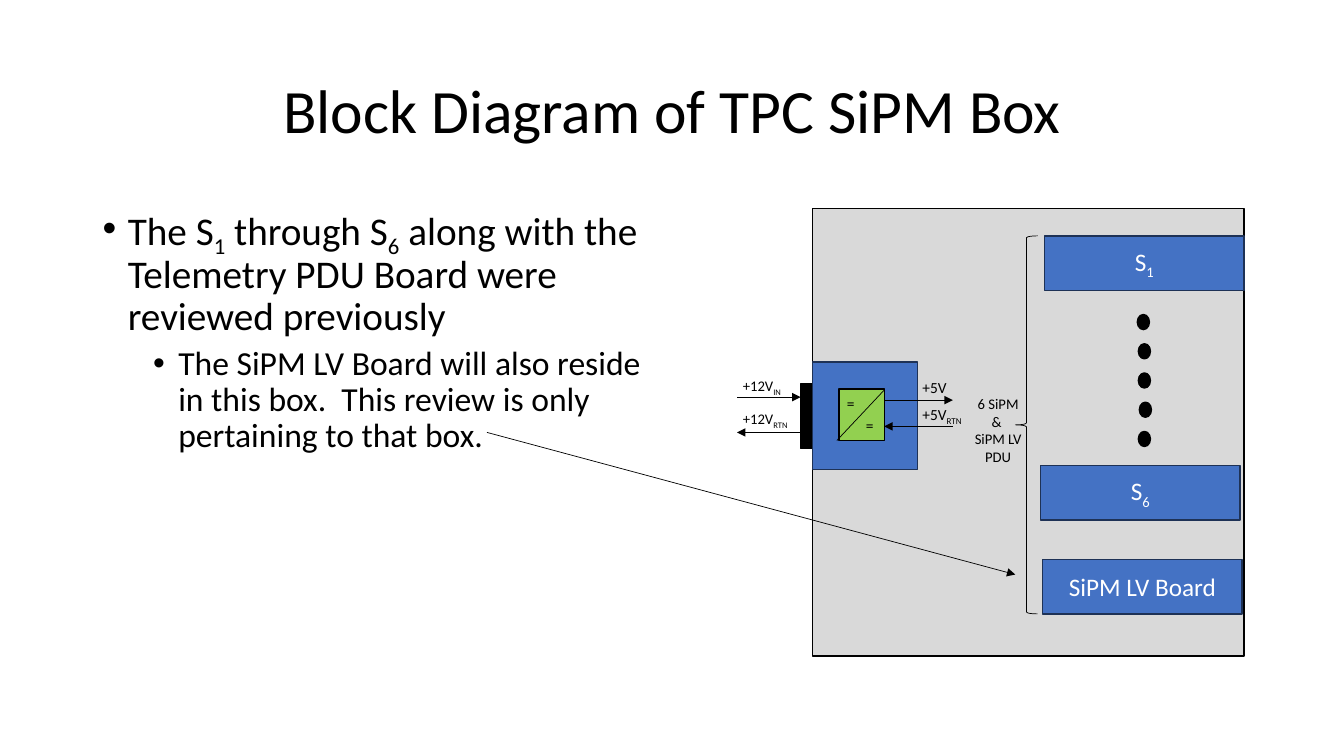
import pptx
import pptx.util
import pptx.dml.color
import pptx.enum.shapes
import pptx.enum.text
import pptx.oxml.ns
import lxml.etree

PX = 9144  # EMU per px, 100 px to the inch
SHAPE = pptx.enum.shapes.MSO_SHAPE
ALIGN = pptx.enum.text.PP_ALIGN
ANCHOR = pptx.enum.text.MSO_ANCHOR
THEME = {
    "font": "Calibri",
    "black": "000000", "white": "FFFFFF", "box": "D9D9D9",
    "board": "4472C4", "board_edge": "1E3256", "converter": "92D050",
    "title": 44, "point": 28, "subpoint": 24, "board_name": 18,
    "signal": 11, "small": 10.5, "edge": 1, "wire": 0.5,
}


def color(name):
    return pptx.dml.color.RGBColor.from_string(THEME[name])


def write(paragraph, text, size, ink="black", **layout):
    """Fill a paragraph; _x_ marks a subscript and a newline a line break."""
    for name, value in layout.items():
        setattr(paragraph, name, value)
    for row, line in enumerate(text.split("\n")):
        if row:
            paragraph.add_line_break()
        for index, piece in enumerate(line.split("_")):
            if not piece:
                continue
            run = paragraph.add_run()
            run.text = piece
            font_format = {"name": THEME["font"], "size": pptx.util.Pt(THEME[size])}
            for name, value in font_format.items():
                setattr(run.font, name, value)
            run.font.color.rgb = color(ink)
            if index % 2:
                run._r.get_or_add_rPr().set("baseline", "-25000")


deck = pptx.Presentation()
deck.slide_width, deck.slide_height = 1333 * PX, 750 * PX
slide = deck.slides.add_slide(deck.slide_layouts[6])

# Title
title = slide.shapes.add_textbox(92 * PX, 40 * PX, 1150 * PX, 145 * PX).text_frame
title.word_wrap = True
title.vertical_anchor = ANCHOR.MIDDLE
write(title.paragraphs[0], "Block Diagram of TPC SiPM Box", "title",
      alignment=ALIGN.CENTER, line_spacing=0.9)

# Bullets
review = slide.shapes.add_textbox(92 * PX, 200 * PX, 567 * PX, 476 * PX).text_frame
review.word_wrap = True
points = [
    ("The S_1_ through S_6_ along with the Telemetry PDU Board were reviewed previously",
     "point", 0, 25, 10),
    ("The SiPM LV Board will also reside in this box.  This review is only "
     "pertaining to that box.", "subpoint", 1, 75, 5),
]
for text, size, level, indent, space in points:
    point = review.add_paragraph() if level else review.paragraphs[0]
    write(point, text, size, level=level, line_spacing=0.9,
          space_before=pptx.util.Pt(space))
    properties = point._p.get_or_add_pPr()
    properties.set("marL", str(indent * PX))
    properties.set("indent", str(-25 * PX))
    for tag, name, value in [("a:buFont", "typeface", "Arial"), ("a:buChar", "char", "•")]:
        lxml.etree.SubElement(properties, pptx.oxml.ns.qn(tag)).set(name, value)

# Box, boards, dots, connector block, converter and brace
blocks = [
    (SHAPE.RECTANGLE, 806, 207, 428, 444, "box", "black", "edge", ""),
    (SHAPE.RECTANGLE, 1036, 234, 198, 54, "board", "board_edge", "edge", "S_1_"),
    (SHAPE.RECTANGLE, 1032, 462, 198, 54, "board", "board_edge", "edge", "S_6_"),
    (SHAPE.RECTANGLE, 1034, 555, 198, 54, "board", "board_edge", "edge", "SiPM LV Board"),
    (SHAPE.RECTANGLE, 794, 381, 12, 64, "black", "black", "edge", ""),
    (SHAPE.RECTANGLE, 806, 359, 104, 107, "board", "board_edge", "edge", ""),
    (SHAPE.RECTANGLE, 832, 386, 45, 51, "converter", "black", "edge", ""),
    (SHAPE.LEFT_BRACE, 1007, 234, 22, 375, None, "black", "wire", ""),
]
blocks += [(SHAPE.OVAL, left, 312 + 29 * step, 12, 15, "black", "black", "edge", "")
           for step, left in enumerate([1128, 1129, 1129, 1130, 1129])]
for kind, left, top, width, height, fill, edge, weight, name in blocks:
    block = slide.shapes.add_shape(kind, left * PX, top * PX, width * PX, height * PX)
    block.shadow.inherit = False
    if fill:
        block.fill.solid()
        block.fill.fore_color.rgb = color(fill)
    else:
        block.fill.background()
    block.line.color.rgb = color(edge)
    block.line.width = pptx.util.Pt(THEME[weight])
    if name:
        block.text_frame.vertical_anchor = ANCHOR.MIDDLE
        write(block.text_frame.paragraphs[0], name, "board_name", "white",
              alignment=ALIGN.CENTER)

# Wires: start, end, and the end that bears the arrowhead
wires = [
    (731, 394, 794, 394, "tailEnd"),
    (731, 429, 794, 429, "headEnd"),
    (877, 387, 830, 437, None),
    (877, 397, 945, 397, "tailEnd"),
    (877, 423, 945, 423, "headEnd"),
    (483, 429, 1007, 570, "tailEnd"),
]
for x1, y1, x2, y2, arrow in wires:
    wire = slide.shapes.add_connector(pptx.enum.shapes.MSO_CONNECTOR.STRAIGHT,
                                      x1 * PX, y1 * PX, x2 * PX, y2 * PX)
    wire.line.color.rgb = color("black")
    wire.line.width = pptx.util.Pt(THEME["wire"])
    if arrow:
        head = lxml.etree.SubElement(wire.line._get_or_add_ln(),
                                     pptx.oxml.ns.qn("a:" + arrow))
        head.set("type", "triangle")
    lxml.etree.SubElement(wire._element.spPr, pptx.oxml.ns.qn("a:effectLst"))

# Signal labels
labels = [
    (727, 369, 62, 29, "small", ALIGN.LEFT, ["+12V_IN_"]),
    (727, 402, 67, 28, "small", ALIGN.LEFT, ["+12V_RTN_"]),
    (830, 386, 28, 29, "signal", ALIGN.LEFT, ["="]),
    (849, 408, 28, 29, "signal", ALIGN.LEFT, ["="]),
    (905, 370, 45, 29, "signal", ALIGN.LEFT, ["+5V"]),
    (905, 397, 62, 29, "signal", ALIGN.LEFT, ["+5V_RTN_"]),
    (956, 387, 68, 81, "small", ALIGN.CENTER, ["6 SiPM", "& \nSiPM LV\nPDU"]),
]
for left, top, width, height, size, alignment, lines in labels:
    label = slide.shapes.add_textbox(left * PX, top * PX, width * PX, height * PX).text_frame
    label.word_wrap = False
    label.auto_size = pptx.enum.text.MSO_AUTO_SIZE.SHAPE_TO_FIT_TEXT
    for row, line in enumerate(lines):
        paragraph = label.add_paragraph() if row else label.paragraphs[0]
        write(paragraph, line, size, alignment=alignment)

deck.save("out.pptx")
